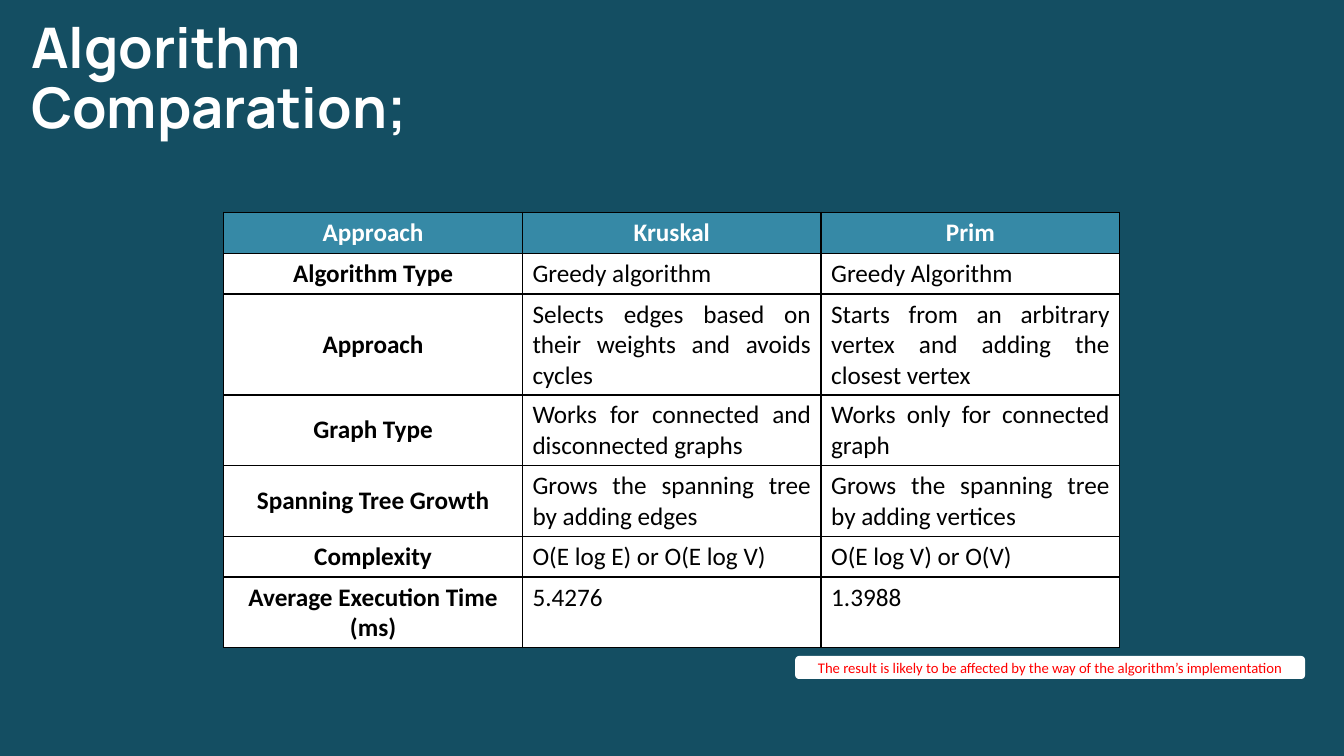
from lxml.etree import SubElement
from pptx import Presentation
from pptx.dml.color import RGBColor
from pptx.enum.shapes import MSO_SHAPE
from pptx.enum.text import MSO_ANCHOR, MSO_AUTO_SIZE, PP_ALIGN
from pptx.oxml.ns import qn
from pptx.util import Cm, Pt

COLORS = {
    "background": "144E62",
    "header": "3689A6",
    "white": "FFFFFF",
    "black": "000000",
    "warning": "FF0000",
}


def write(frame, text, size=18, font="Calibri", color="black", bold=False,
          align=PP_ALIGN.LEFT, anchor=MSO_ANCHOR.TOP, spacing=1.0):
    frame.word_wrap = True
    frame.vertical_anchor = anchor
    paragraph = frame.paragraphs[0]
    paragraph.alignment = align
    paragraph.line_spacing = spacing
    run = paragraph.add_run()
    run.text = text
    run.font.size = Pt(size)
    run.font.name = font
    run.font.bold = bold
    run.font.color.rgb = RGBColor.from_string(COLORS[color])


def add_borders(cell, color, width):
    properties = cell._tc.get_or_add_tcPr()
    for position, side in enumerate(("lnL", "lnR", "lnT", "lnB")):
        border = SubElement(properties, qn(f"a:{side}"), w=str(Pt(width)))
        fill = SubElement(border, qn("a:solidFill"))
        SubElement(fill, qn("a:srgbClr"), val=COLORS[color])
        properties.insert(position, border)


presentation = Presentation()
presentation.slide_width = Cm(33.87)
presentation.slide_height = Cm(19.05)
slide = presentation.slides.add_slide(presentation.slide_layouts[5])
slide.background.fill.solid()
slide.background.fill.fore_color.rgb = RGBColor.from_string(COLORS["background"])

title = slide.shapes.title
title.left, title.top, title.width, title.height = Cm(0.53), Cm(0.38), Cm(14.1), Cm(3.68)
write(title.text_frame, "Algorithm Comparation;", size=40, font="Manrope",
      color="white", bold=True, spacing=0.9)
title.text_frame.auto_size = MSO_AUTO_SIZE.SHAPE_TO_FIT_TEXT

comparison_rows = [
    ("Approach", "Kruskal", "Prim"),
    ("Algorithm Type", "Greedy algorithm", "Greedy Algorithm"),
    ("Approach", "Selects edges based on their weights and avoids cycles",
     "Starts from an arbitrary vertex and adding the closest vertex"),
    ("Graph Type", "Works for connected and disconnected graphs",
     "Works only for connected graph"),
    ("Spanning Tree Growth", "Grows the spanning tree by adding edges",
     "Grows the spanning tree by adding vertices"),
    ("Complexity", "O(E log E) or O(E log V)", "O(E log V) or O(V)"),
    ("Average Execution Time (ms)", "5.4276", "1.3988"),
]
row_height = Cm(1.03)
comparison = slide.shapes.add_table(
    len(comparison_rows), 3, Cm(5.64), Cm(5.35), Cm(22.58),
    row_height * len(comparison_rows)).table

for row, values in enumerate(comparison_rows):
    comparison.rows[row].height = row_height
    for column, value in enumerate(values):
        cell = comparison.cell(row, column)
        is_header = row == 0
        is_label = column == 0
        cell.fill.solid()
        cell.fill.fore_color.rgb = RGBColor.from_string(
            COLORS["header" if is_header else "white"])
        write(cell.text_frame, value,
              color="white" if is_header else "black",
              bold=is_header or is_label,
              align=PP_ALIGN.CENTER if is_header or is_label else PP_ALIGN.JUSTIFY)
        cell.vertical_anchor = (
            MSO_ANCHOR.MIDDLE if is_label and not is_header else MSO_ANCHOR.TOP)
        add_borders(cell, "black", 1)

caveat = slide.shapes.add_shape(
    MSO_SHAPE.ROUNDED_RECTANGLE, Cm(20.04), Cm(16.53), Cm(12.85), Cm(0.58))
caveat.shadow.inherit = False
caveat.fill.solid()
caveat.fill.fore_color.rgb = RGBColor.from_string(COLORS["white"])
caveat.line.fill.background()
write(caveat.text_frame,
      "The result is likely to be affected by the way of the algorithm’s implementation",
      size=10.5, color="warning", align=PP_ALIGN.CENTER, anchor=MSO_ANCHOR.MIDDLE)

presentation.save("out.pptx")
